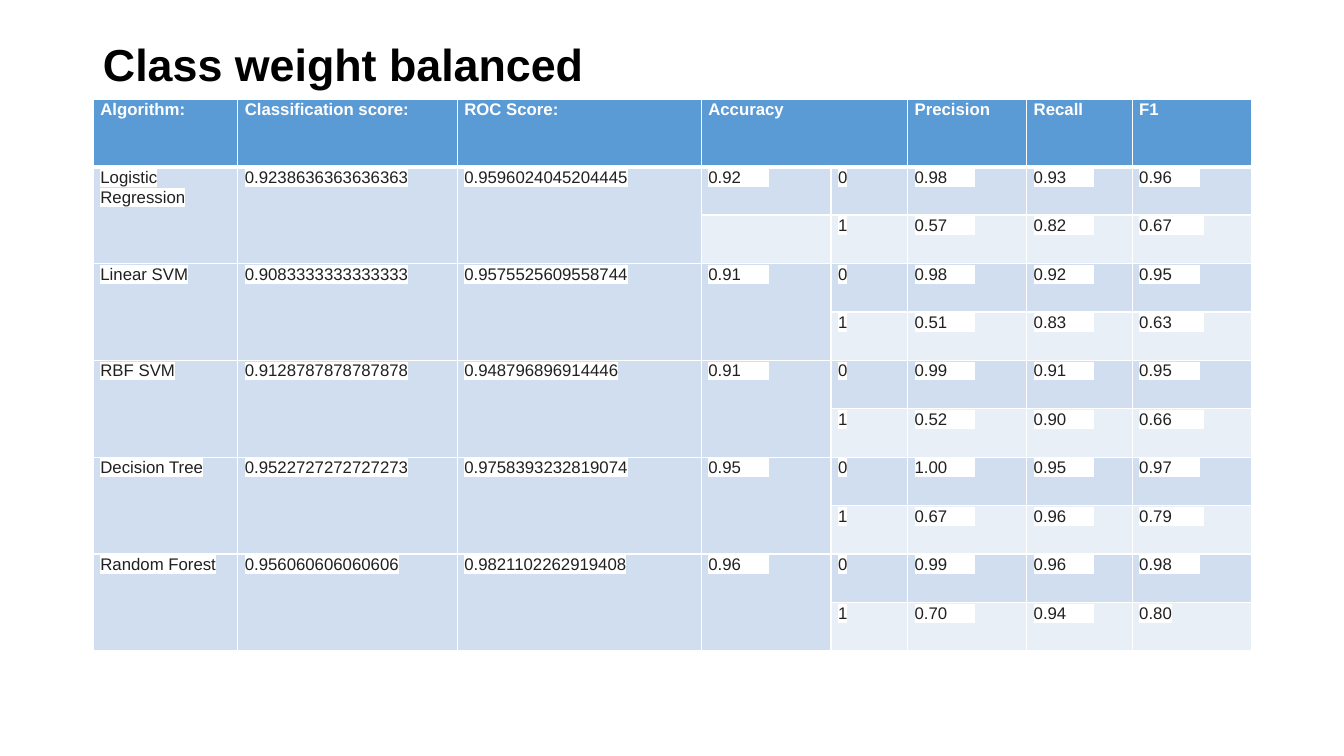
from pptx import Presentation
from pptx.dml.color import RGBColor
from pptx.enum import text
from pptx.oxml import parse_xml
from pptx.oxml import ns
from pptx.util import Cm, Pt

WHITE = RGBColor(0xFF, 0xFF, 0xFF)
BLACK = RGBColor(0, 0, 0)
INK = RGBColor(0x21, 0x21, 0x21)
HEADER_BLUE = RGBColor(0x5B, 0x9B, 0xD5)
BAND_DARK = RGBColor(0xD0, 0xDE, 0xEF)
BAND_LIGHT = RGBColor(0xE9, 0xEF, 0xF7)

NBSP = "\u00a0"
PAD = NBSP * 6  # trailing highlighted stretch after each metric

HEADERS = ["Algorithm:", "Classification score:", "ROC Score:", "Accuracy", "",
           "Precision", "Recall", "F1"]
COLUMN_WIDTHS = [3.64, 5.53, 6.15, 3.27, 1.93, 3, 2.66, 3.01]
HEADER_HEIGHT, ROW_HEIGHT = 1.7, 1.22

# name, classification score, ROC score, accuracy, then metrics of classes 0 and 1
RESULTS = [
    ("Logistic Regression", "0.9238636363636363", "0.9596024045204445", "0.92",
     ("0.98", "0.93", "0.96"), ("0.57", "0.82", "0.67")),
    ("Linear SVM", "0.9083333333333333", "0.9575525609558744", "0.91",
     ("0.98", "0.92", "0.95"), ("0.51", "0.83", "0.63")),
    ("RBF SVM", "0.9128787878787878", "0.948796896914446", "0.91",
     ("0.99", "0.91", "0.95"), ("0.52", "0.90", "0.66")),
    ("Decision Tree", "0.9522727272727273", "0.9758393232819074", "0.95",
     ("1.00", "0.95", "0.97"), ("0.67", "0.96", "0.79")),
    ("Random Forest", "0.956060606060606", "0.9821102262919408", "0.96",
     ("0.99", "0.96", "0.98"), ("0.70", "0.94", "0.80")),
]


def write(tf, content, size=12, color=INK, bold=False, highlight=None, spacing=1.07):
    """Put one formatted run into a text frame."""
    p = tf.paragraphs[0]
    p.alignment = text.PP_ALIGN.LEFT
    p.line_spacing = spacing
    r = p.add_run()
    r.text = content
    r.font.name = "Arial"
    r.font.size = Pt(size)
    r.font.bold = bold
    r.font.color.rgb = color
    if highlight is not None:
        mark = parse_xml(f'<a:highlight {ns.nsdecls("a")}>'
                         f'<a:srgbClr val="{highlight}"/></a:highlight>')
        r.font._element.find(ns.qn("a:solidFill")).addnext(mark)


def set_borders(cell, top=1, bottom=1):
    """Draw white cell borders, with widths in points."""
    tcPr = cell._tc.get_or_add_tcPr()
    sides = {"lnL": 1, "lnR": 1, "lnT": top, "lnB": bottom}
    for i, (side, width) in enumerate(sides.items()):
        tcPr.insert(i, parse_xml(
            f'<a:{side} {ns.nsdecls("a")} w="{Pt(width)}"><a:solidFill>'
            f'<a:srgbClr val="{WHITE}"/></a:solidFill></a:{side}>'))


def format_cell(cell, content, fill, **fmt):
    """Set the margins, fill and text of a table cell."""
    cell.margin_left = cell.margin_right = Cm(0.18)
    cell.margin_top = cell.margin_bottom = 0
    cell.fill.solid()
    cell.fill.fore_color.rgb = fill
    if content:
        write(cell.text_frame, content, **fmt)


def result_rows(name, score, roc, accuracy, class0, class1):
    """Return the two table rows of one algorithm."""
    first = [name, score, roc, accuracy + PAD, "0"] + [v + PAD for v in class0]
    second = [""] * 4 + ["1"] + [v + PAD for v in class1]
    second[-1] += NBSP
    return [first, second]


def add_title(s, content):
    """Place the slide title in its placeholder."""
    sp = s.shapes.title
    sp.left, sp.top, sp.width, sp.height = Cm(2.34), Cm(1.1), Cm(29.21), Cm(1.19)
    tf = sp.text_frame
    tf.word_wrap = True
    tf.auto_size = text.MSO_AUTO_SIZE.NONE
    tf.vertical_anchor = text.MSO_ANCHOR.MIDDLE
    write(tf, content, size=32, color=BLACK, bold=True, spacing=0.9)


def add_results_table(s):
    """Add the table of scores, two rows per algorithm."""
    body = [row for result in RESULTS for row in result_rows(*result)]
    body[-1][-1] = body[-1][-1].rstrip(NBSP)
    height = HEADER_HEIGHT + ROW_HEIGHT * len(body)
    table = s.shapes.add_table(len(body) + 1, len(HEADERS), Cm(2.35), Cm(2.5),
                               Cm(sum(COLUMN_WIDTHS)), Cm(height)).table
    for column, width in zip(table.columns, COLUMN_WIDTHS):
        column.width = Cm(width)
    for i, row in enumerate(table.rows):
        row.height = Cm(ROW_HEIGHT if i else HEADER_HEIGHT)

    for c, label in enumerate(HEADERS):
        cell = table.cell(0, c)
        format_cell(cell, label, HEADER_BLUE, color=WHITE, bold=True)
        set_borders(cell, bottom=3)
    for r, values in enumerate(body, start=1):
        for c, value in enumerate(values):
            cell = table.cell(r, c)
            format_cell(cell, value, BAND_DARK if r % 2 else BAND_LIGHT, highlight=WHITE)
            set_borders(cell, top=3 if r == 1 else 1)

    table.cell(0, 3).merge(table.cell(0, 4))
    for r in range(1, len(body), 2):
        # the first algorithm keeps its accuracy cell unmerged
        for c in range(3 if r == 1 else 4):
            table.cell(r, c).merge(table.cell(r + 1, c))


def main():
    """Build and save the slide."""
    prs = Presentation()
    prs.slide_width, prs.slide_height = Cm(33.87), Cm(19.05)
    s = prs.slides.add_slide(prs.slide_layouts[5])
    add_title(s, f"Class weight{NBSP}balanced")
    add_results_table(s)
    prs.save("out.pptx")


main()
